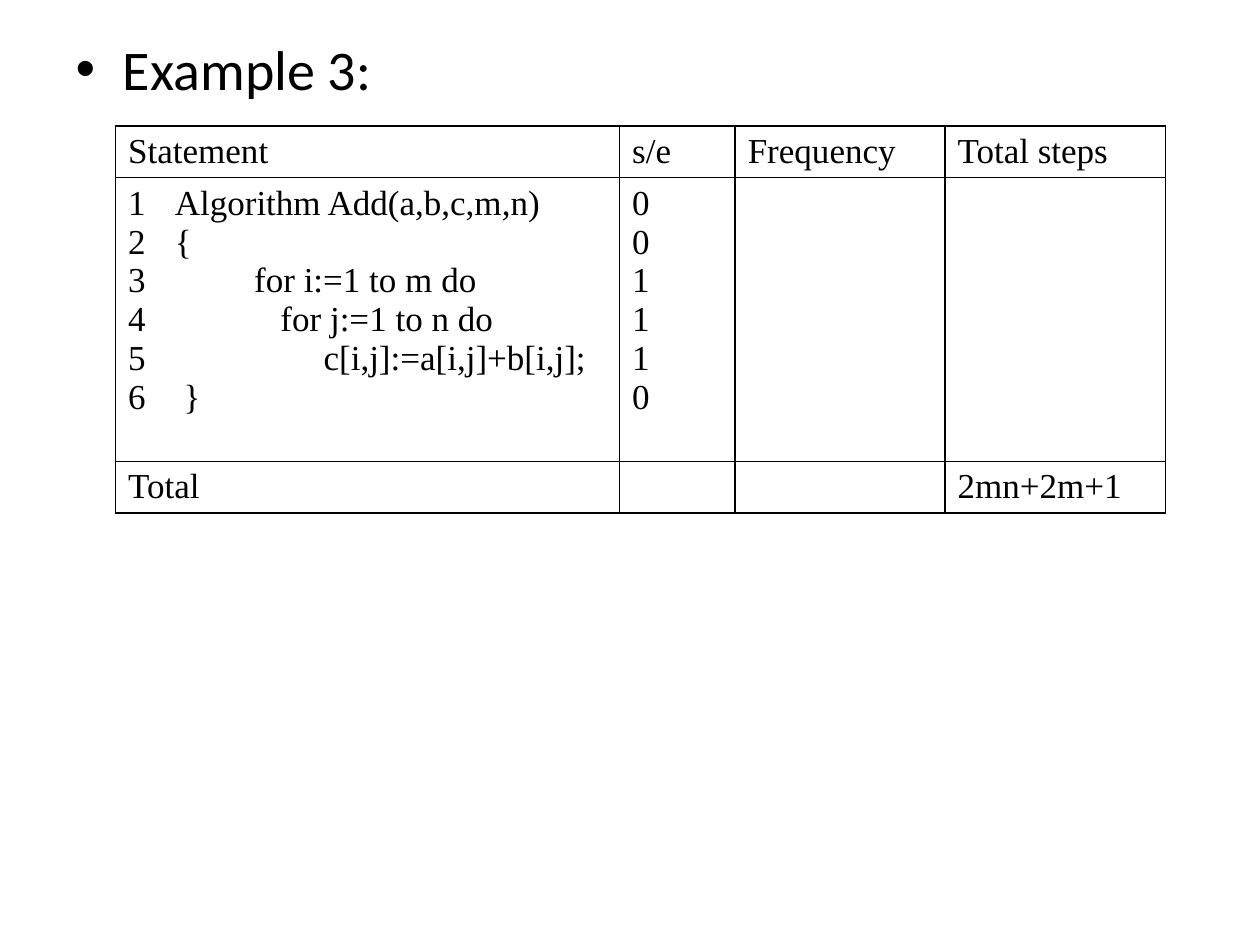
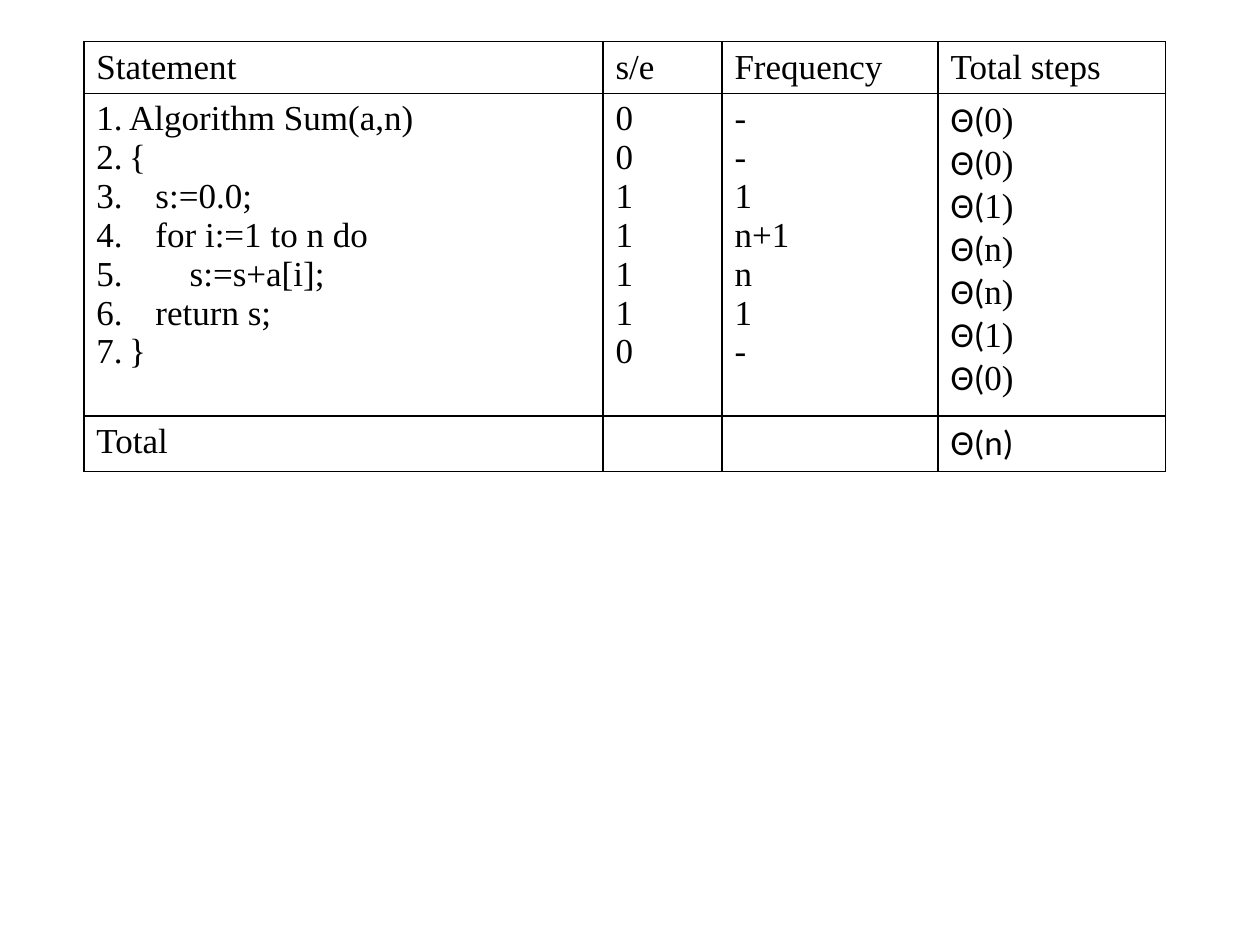
from dataclasses import dataclass

from lxml.etree import SubElement
from pptx import Presentation
from pptx.dml.color import RGBColor
from pptx.oxml import parse_xml
from pptx.oxml.ns import nsdecls, qn
from pptx.util import Cm, Pt

BLACK = RGBColor(0x00, 0x00, 0x00)
SERIF, SANS = "Times New Roman", "Calibri"
PLAIN_STYLE = "{2D5ABB26-0587-4C30-8999-92F81FD0307C}"
COLUMN_WIDTHS = (10.16, 2.33, 4.23, 4.45)
HEADER = ("Statement", "s/e", "Frequency", "Total steps")


@dataclass
class Line:
    runs: tuple
    indent: float = 0
    numbering: str = ""


def plain(texts):
    return [Line(((text, SERIF),)) for text in texts]


def code(numbering, statements):
    return [Line(((text, SERIF),), indent, numbering)
            for text, indent in statements]


def theta(orders):
    return [Line((("Θ(", SANS), (order + ")", SERIF))) for order in orders]


HEADING = "Example 3:"
ADD_STEPS = dict(
    left=2.33, top=2.54, scale=1, heights=(1.04, 5.72, 1.04),
    body=(
        code("arabicPlain", [
            ("Algorithm Add(a,b,c,m,n)", 0.94),
            ("{", 0.94),
            ("for i:=1 to m do", 2.54),
            ("for j:=1 to n do", 3.07),
            ("c[i,j]:=a[i,j]+b[i,j];", 3.94),
            ("}", 1.12),
        ]),
        plain("001110"), [], [],
    ),
    total=plain(["2mn+2m+1"]),
)
SUM_STEPS = dict(
    left=1.69, top=0.84, scale=1.03, heights=(1.04, 6.51, 1.11),
    body=(
        code("arabicPeriod", [
            ("Algorithm Sum(a,n)", 0.66),
            ("{", 0.66),
            ("s:=0.0;", 1.19),
            ("for i:=1 to n do", 1.19),
            ("s:=s+a[i];", 1.88),
            ("return s;", 1.19),
            ("}", 0.66),
        ]),
        plain("0011110"),
        plain(["-", "-", "1", "n+1", "n", "1", "-"]),
        theta("001nn10"),
    ),
    total=[Line((("Θ(n)", SANS),))],
)


def style(font, face, size):
    font.name, font.size = face, Pt(size)
    font.color.rgb = BLACK


def write_line(paragraph, line):
    for text, face in line.runs:
        run = paragraph.add_run()
        run.text = text
        if len(line.runs) > 1:
            run.font.name = face
    style(paragraph.font, line.runs[0][1], 20)
    if line.numbering:
        properties = paragraph.font._element.getparent()
        properties.set("marL", str(Cm(line.indent)))
        properties.set("indent", str(-Cm(line.indent)))
        numbering = SubElement(properties, qn("a:buAutoNum"), type=line.numbering)
        properties.insert(0, numbering)


def add_borders(cell):
    properties = cell._tc.get_or_add_tcPr()
    for position, side in enumerate("LRTB"):
        properties.insert(position, parse_xml(
            f'<a:ln{side} {nsdecls("a")} w="{Pt(1)}"><a:solidFill>'
            f'<a:srgbClr val="{BLACK}"/></a:solidFill></a:ln{side}>'))


def fill_cell(cell, lines):
    cell.fill.background()
    add_borders(cell)
    frame = cell.text_frame
    for number, line in enumerate(lines):
        paragraph = frame.add_paragraph() if number else frame.paragraphs[0]
        write_line(paragraph, line)


def add_step_table(slide, left, top, scale, heights, body, total):
    widths = [width * scale for width in COLUMN_WIDTHS]
    rows = (
        [plain([title]) for title in HEADER],
        body,
        (plain(["Total"]), [], [], total),
    )
    table = slide.shapes.add_table(
        len(rows), len(widths), Cm(left), Cm(top),
        Cm(sum(widths)), Cm(sum(heights))).table
    table.first_row = table.horz_banding = False
    table._tbl.tblPr.find(qn("a:tableStyleId")).text = PLAIN_STYLE
    for column, width in zip(table.columns, widths):
        column.width = Cm(width)
    for row, height, contents in zip(table.rows, heights, rows):
        row.height = Cm(height)
        for cell, lines in zip(row.cells, contents):
            fill_cell(cell, lines)


def add_heading(slide):
    unused_title, heading = slide.placeholders
    unused_title._element.getparent().remove(unused_title._element)
    heading.left, heading.top = Cm(1.27), Cm(0.56)
    heading.width, heading.height = Cm(22.86), Cm(17.86)
    heading.text_frame.text = HEADING
    style(heading.text_frame.paragraphs[0].font, SANS, 32)


def main():
    deck = Presentation()
    deck.slide_width, deck.slide_height = Cm(25.4), Cm(19.05)
    example = deck.slides.add_slide(deck.slide_layouts[1])
    add_heading(example)
    add_step_table(example, **ADD_STEPS)
    add_step_table(deck.slides.add_slide(deck.slide_layouts[6]), **SUM_STEPS)
    deck.save("out.pptx")


if __name__ == "__main__":
    main()
